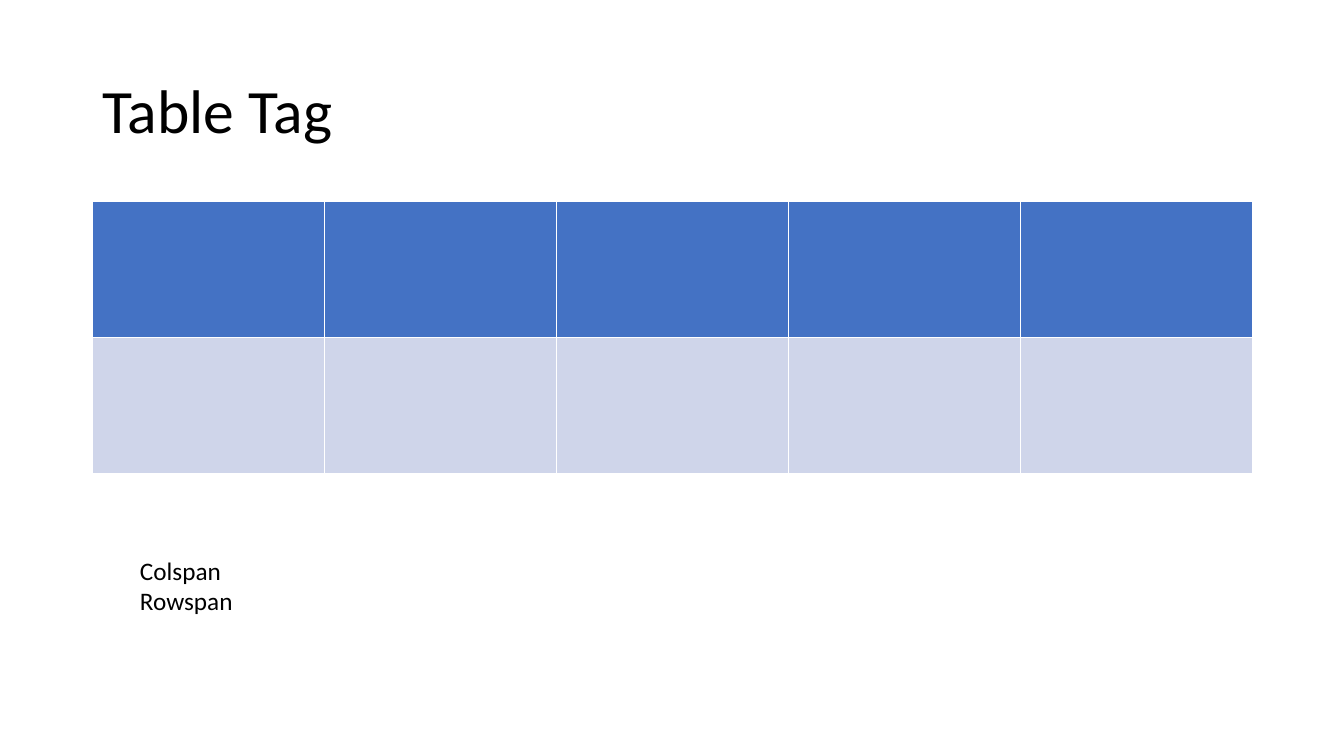
"""Build the "Table Tag" slide."""
from dataclasses import dataclass

from pptx import Presentation
from pptx.dml.color import RGBColor
from pptx.enum.text import MSO_ANCHOR, MSO_AUTO_SIZE
from pptx.util import Inches, Pt


@dataclass(frozen=True)
class Theme:
    """Colours, font and type sizes of the slide."""
    font: str = "Calibri"
    ink: RGBColor = RGBColor(0x00, 0x00, 0x00)
    header_fill: RGBColor = RGBColor(0x44, 0x72, 0xC4)
    body_fill: RGBColor = RGBColor(0xCF, 0xD5, 0xEA)
    title_size: Pt = Pt(44)
    body_size: Pt = Pt(18)


THEME = Theme()


def add_text(slide, box, wording, size, wrap=True, anchor=MSO_ANCHOR.TOP, spacing=None):
    """Add a text box with one paragraph per line of wording."""
    frame = slide.shapes.add_textbox(*map(Inches, box)).text_frame
    frame.text = wording
    frame.word_wrap = wrap
    frame.vertical_anchor = anchor
    frame.auto_size = MSO_AUTO_SIZE.NONE if wrap else MSO_AUTO_SIZE.SHAPE_TO_FIT_TEXT
    for paragraph in frame.paragraphs:
        paragraph.line_spacing = spacing
        for run in paragraph.runs:
            run.font.name = THEME.font
            run.font.size = size
            run.font.color.rgb = THEME.ink


def add_grid(slide, box, row_fills, columns):
    """Add an empty table with one fill colour per row."""
    grid = slide.shapes.add_table(len(row_fills), columns, *map(Inches, box)).table
    for row, fill in zip(grid.rows, row_fills):
        for cell in row.cells:
            cell.fill.solid()
            cell.fill.fore_color.rgb = fill


def main():
    """Compose the slide and save it."""
    deck = Presentation()
    deck.slide_width, deck.slide_height = Inches(13.33), Inches(7.5)
    slide = deck.slides.add_slide(deck.slide_layouts[6])
    add_text(slide, (0.92, 0.4, 11.5, 1.45), "Table Tag", THEME.title_size,
             anchor=MSO_ANCHOR.MIDDLE, spacing=0.9)
    add_grid(slide, (0.92, 2, 11.5, 2.7), (THEME.header_fill, THEME.body_fill), columns=5)
    add_text(slide, (1.29, 5.46, 1.13, 0.71), "Colspan\nRowspan", THEME.body_size, wrap=False)
    deck.save("out.pptx")


if __name__ == "__main__":
    main()
